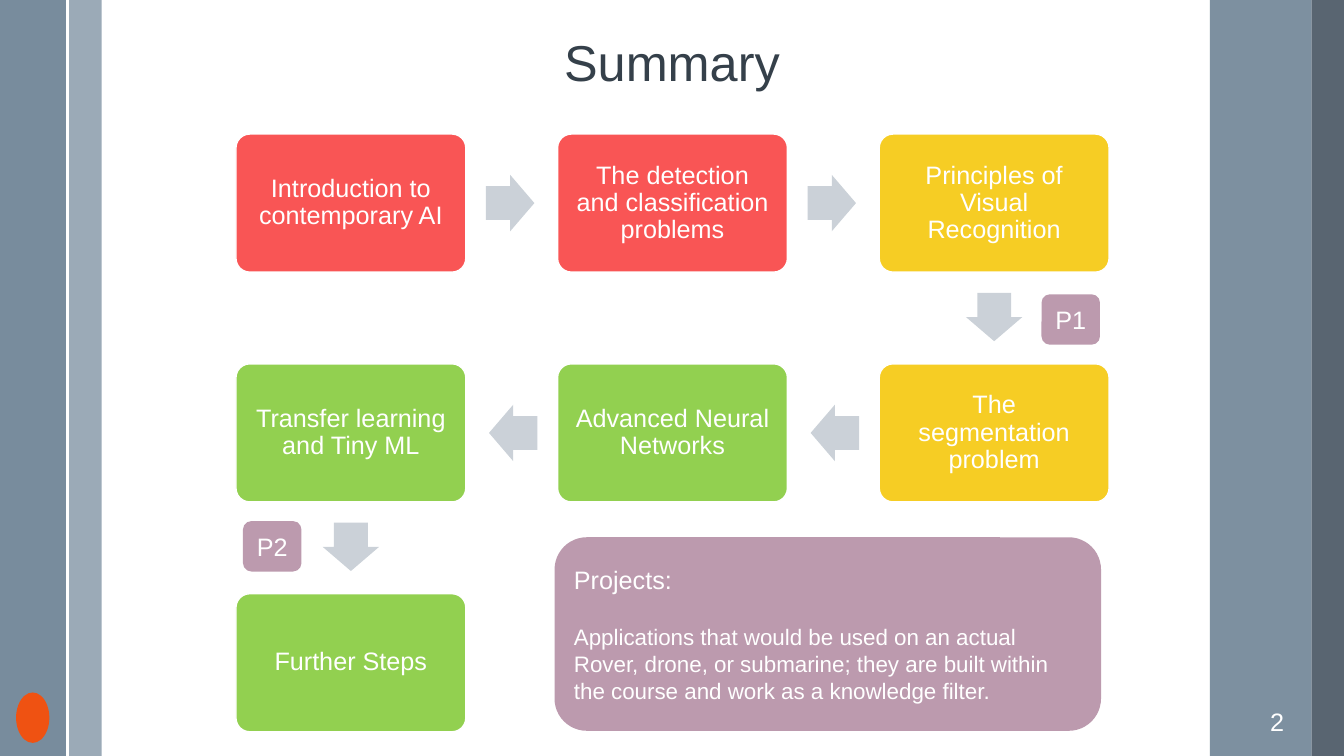
from dataclasses import dataclass

from lxml import etree
from pptx import Presentation
from pptx.dml.color import RGBColor
from pptx.enum.shapes import MSO_CONNECTOR, MSO_SHAPE
from pptx.enum.text import MSO_ANCHOR, PP_ALIGN
from pptx.oxml.ns import qn
from pptx.util import Inches, Pt

RECT, ROUNDED = MSO_SHAPE.RECTANGLE, MSO_SHAPE.ROUNDED_RECTANGLE
ARROW, OVAL = MSO_SHAPE.RIGHT_ARROW, MSO_SHAPE.OVAL
STRAIGHT = MSO_CONNECTOR.STRAIGHT
LEFT, CENTER = PP_ALIGN.LEFT, PP_ALIGN.CENTER
TOP, MIDDLE = MSO_ANCHOR.TOP, MSO_ANCHOR.MIDDLE


@dataclass(frozen=True)
class Theme:
    font: str = "Arial"
    title_size: int = 36
    label_size: int = 18
    body_size: int = 16
    white: str = "FFFFFF"
    ink: str = "35404A"
    slate: str = "6A8093"
    slate_light: str = "9BAAB7"
    slate_dark: str = "475562"
    red: str = "F95555"
    yellow: str = "F6CD24"
    green: str = "92D050"
    mauve: str = "BC9AAE"
    arrow: str = "CBD1D8"
    emblem: str = "EF5212"


THEME = Theme()

# Side bands: left, width, colour, opacity in percent
BANDS = [
    (0.68, 0.33, THEME.slate_light, 100),
    (0, 0.67, THEME.slate, 90),
    (12, 1.01, THEME.slate, 87),
    (13.01, 0.33, THEME.slate_dark, 90),
]

# Course steps in reading order of the winding path
STEPS = [
    ("Introduction to contemporary AI", THEME.red),
    ("The detection and classification problems", THEME.red),
    ("Principles of Visual Recognition", THEME.yellow),
    ("The segmentation problem", THEME.yellow),
    ("Advanced Neural Networks", THEME.green),
    ("Transfer learning and Tiny ML", THEME.green),
    ("Further Steps", THEME.green),
]
COLUMNS = 3
GRID_LEFT, GRID_TOP = 2.34, 1.33
PITCH_X, PITCH_Y = 3.19, 2.28
CARD_W, CARD_H = 2.28, 1.37
ARROW_W, ARROW_H = 0.48, 0.56
ARROW_REACH_X, ARROW_REACH_Y = 1.58, 1.13  # card centre to arrow centre

PROJECT_TAGS = [("P1", 10.33, 2.92), ("P2", 2.41, 5.17)]
PROJECTS = [
    ("Projects:", THEME.label_size, 0),
    ("Applications that would be used on an actual Rover, drone, or submarine; "
     "they are built within the course and work as a knowledge filter.",
     THEME.body_size, 21),
]


def apply(target, values):
    for name, value in values.items():
        setattr(target, name, value)


def write(shape, paragraphs, color=THEME.white, align=CENTER, anchor=MIDDLE,
          spacing=1.0, inset=0.1):
    """Fill a shape with (text, size, space before) paragraphs."""
    frame = shape.text_frame
    apply(frame, {"word_wrap": True, "vertical_anchor": anchor,
                  "margin_left": Inches(inset), "margin_right": Inches(inset)})
    for index, (text, size, before) in enumerate(paragraphs):
        paragraph = frame.add_paragraph() if index else frame.paragraphs[0]
        paragraph.text = text
        apply(paragraph, {"alignment": align, "line_spacing": spacing})
        if before:
            paragraph.space_before = Pt(before)
        apply(paragraph.runs[0].font, {"name": THEME.font, "size": Pt(size)})
        paragraph.runs[0].font.color.rgb = RGBColor.from_string(color)


def add_block(slide, kind, box, color, adjust=(), opacity=100, outline=None):
    shape = slide.shapes.add_shape(kind, *map(Inches, box))
    shape.shadow.inherit = False
    shape.fill.solid()
    shape.fill.fore_color.rgb = RGBColor.from_string(color)
    if opacity < 100:
        tint = shape.fill._xPr.find(qn("a:solidFill"))[0]
        etree.SubElement(tint, qn("a:alpha"), val=str(opacity * 1000))
    if outline:
        shape.line.color.rgb = RGBColor.from_string(outline)
        shape.line.width = Pt(1)
    else:
        shape.line.fill.background()
    for index, value in enumerate(adjust):
        shape.adjustments[index] = value
    return shape


def add_text(slide, box, text, size, **style):
    write(slide.shapes.add_textbox(*map(Inches, box)), [(text, size, 0)],
          anchor=TOP, **style)


def add_divider(slide, x, height):
    divider = slide.shapes.add_connector(
        STRAIGHT, Inches(x), Inches(0), Inches(x), Inches(height))
    divider.line.color.rgb = RGBColor.from_string(THEME.white)
    divider.line.width = Pt(1.5)
    etree.SubElement(divider._element.spPr, qn("a:effectLst"))


def step_cell(index):
    """Column and row of a step; every second row runs right to left."""
    row, column = divmod(index, COLUMNS)
    return (COLUMNS - 1 - column if row % 2 else column), row


def add_step(slide, index, text, color):
    column, row = step_cell(index)
    left, top = GRID_LEFT + column * PITCH_X, GRID_TOP + row * PITCH_Y
    card = add_block(slide, ROUNDED, (left, top, CARD_W, CARD_H), color,
                     adjust=[0.1], outline=THEME.white)
    write(card, [(text, THEME.label_size, 0)], spacing=0.9, inset=0.11)

    # Arrow towards the next step
    if index + 1 < len(STEPS):
        next_column, next_row = step_cell(index + 1)
        dx, dy = next_column - column, next_row - row
        center_x = left + CARD_W / 2 + dx * ARROW_REACH_X
        center_y = top + CARD_H / 2 + dy * ARROW_REACH_Y
        arrow = add_block(slide, ARROW,
                          (center_x - ARROW_W / 2, center_y - ARROW_H / 2,
                           ARROW_W, ARROW_H), THEME.arrow, adjust=[0.6, 0.5])
        arrow.rotation = 90 if dy else 90 * (1 - dx)


def main():
    deck = Presentation()
    deck.slide_width, deck.slide_height = Inches(13.33), Inches(7.5)
    slide = deck.slides.add_slide(deck.slide_layouts[6])

    # Side bands and emblem
    for left, width, color, opacity in BANDS:
        add_block(slide, RECT, (left, 0, width, 7.5), color, opacity=opacity)
    add_divider(slide, 0.67, 7.5)
    add_block(slide, OVAL, (0.16, 6.87, 0.33, 0.5), THEME.emblem)

    # Slide number and title
    add_text(slide, (12.5, 6.96, 0.42, 0.4), "2", THEME.label_size, align=LEFT)
    add_text(slide, (2.11, 0.33, 9.11, 0.83), "Summary", THEME.title_size,
             color=THEME.ink, spacing=0.9)

    # Winding path of steps
    for index, (text, color) in enumerate(STEPS):
        add_step(slide, index, text, color)

    # Project tags and explanation
    for text, left, top in PROJECT_TAGS:
        tag = add_block(slide, ROUNDED, (left, top, 0.58, 0.5), THEME.mauve)
        write(tag, [(text, THEME.label_size, 0)])
    projects = add_block(slide, ROUNDED, (5.5, 5.33, 5.42, 1.92), THEME.mauve)
    write(projects, PROJECTS, align=LEFT)

    deck.save("out.pptx")


if __name__ == "__main__":
    main()
